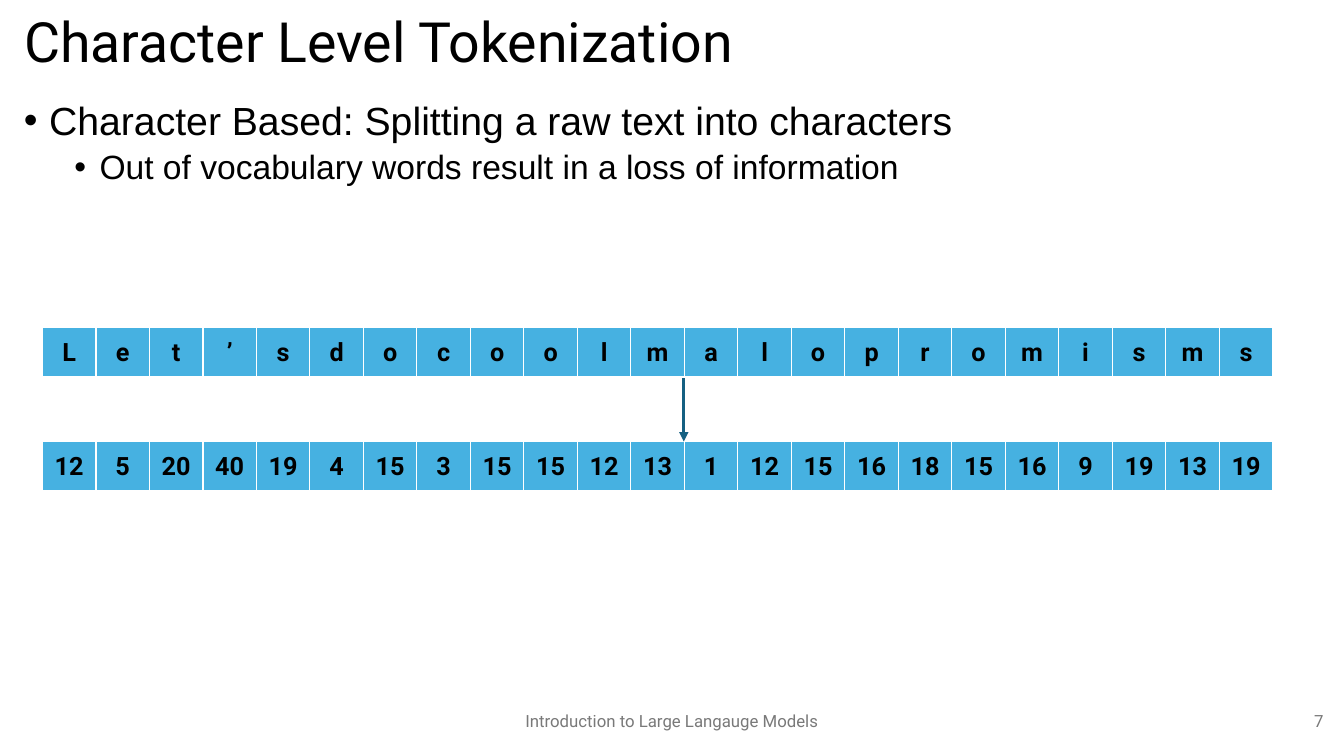
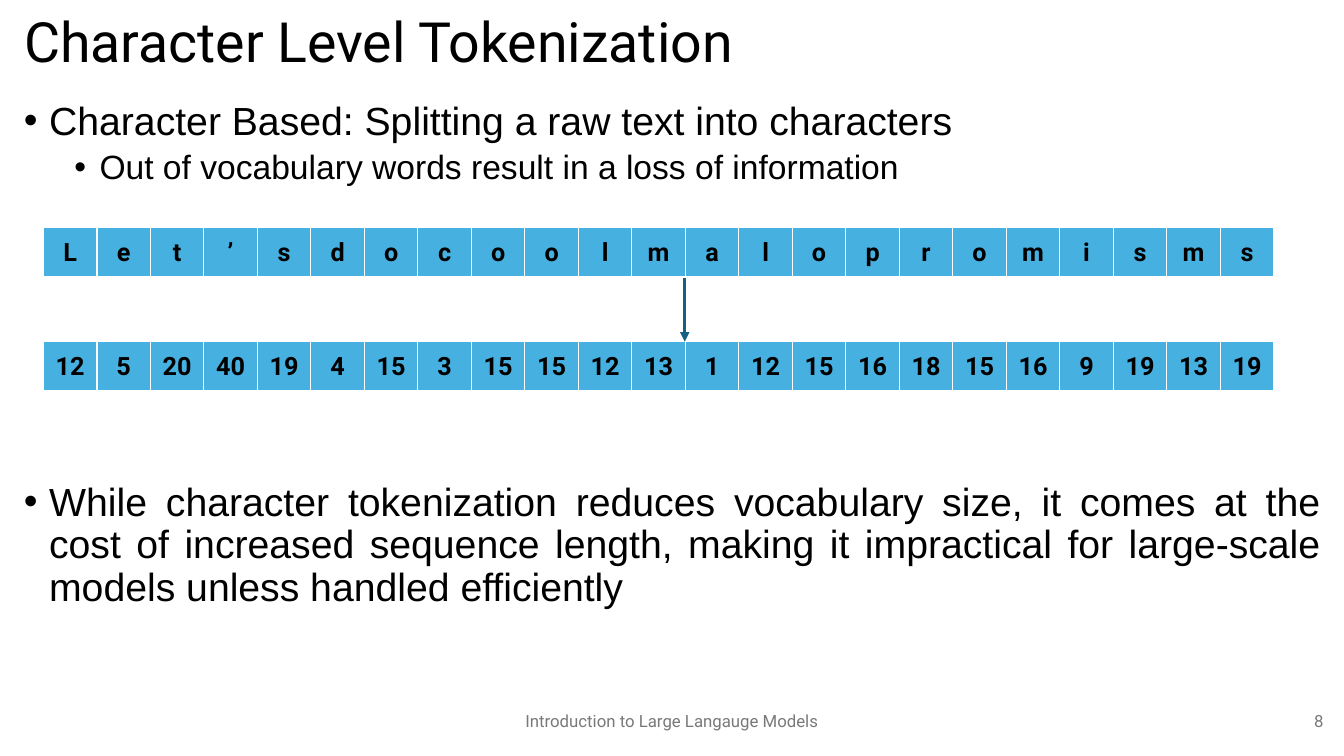
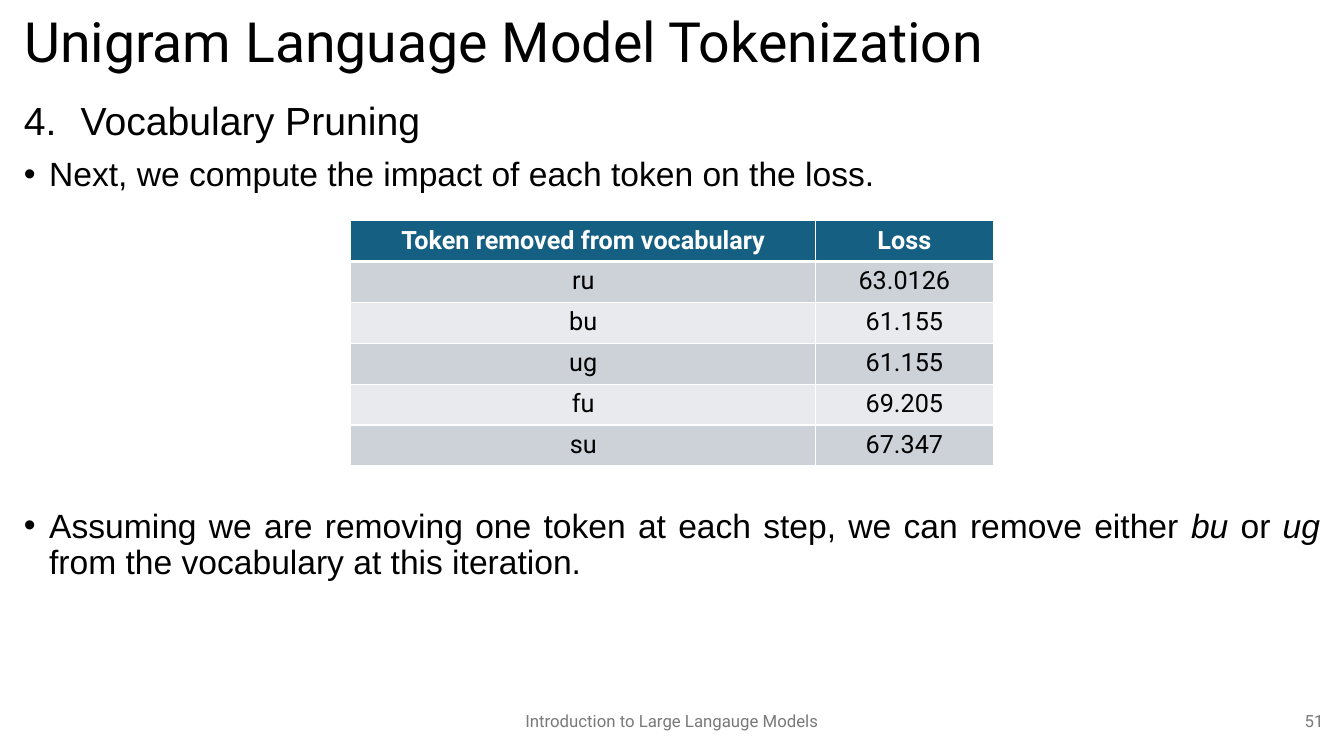
from dataclasses import dataclass

from lxml.etree import SubElement
from pptx import Presentation
from pptx.dml.color import RGBColor
from pptx.enum.shapes import MSO_CONNECTOR as Connector
from pptx.enum.text import MSO_ANCHOR as Anchor, MSO_AUTO_SIZE as AutoSize, PP_ALIGN as Align
from pptx.oxml.ns import qn
from pptx.util import Pt

BLACK = RGBColor(0x00, 0x00, 0x00)
WHITE = RGBColor(0xFF, 0xFF, 0xFF)
GRAY = RGBColor(0x79, 0x79, 0x79)
TEAL = RGBColor(0x15, 0x60, 0x82)
SKY = RGBColor(0x46, 0xB1, 0xE1)
BAND_DARK = RGBColor(0xCC, 0xD2, 0xD8)
BAND_LIGHT = RGBColor(0xE8, 0xEA, 0xED)

HEAD_FONT = "Roboto"
BODY_FONT = "Arial"
TITLE_BOX = (10, 6.5, 940, 50.4)
BODY_BOX = (10, 69, 940, 431)
FOOTER_BOX = (318, 500.4, 324, 28.8)
NUMBER_BOX = (736.5, 500.4, 216, 28.8)
FOOTER = "Introduction to Large Langauge Models"

LETTERS = list("Let’sdocoolmalopromisms")
CODES = [12, 5, 20, 40, 19, 4, 15, 3, 15, 15, 12, 13,
         1, 12, 15, 16, 18, 15, 16, 9, 19, 13, 19]
STRIP_COLUMN = 38.22
STRIP_HEIGHT = 36
STRIP_STEP = 81.4

LOSSES = [
    ("Token removed from vocabulary", "Loss"),
    ("ru", "63.0126"),
    ("bu", "61.155"),
    ("ug", "61.155"),
    ("fu", "69.205"),
    ("su", "67.347"),
]


@dataclass
class Item:
    """One list paragraph; odd-numbered pieces of its text are italic."""
    pieces: tuple
    size: float = 28
    before: float = 10
    level: int = 0
    margin: float = 18
    hang: float = 18
    number: int = 0
    align: Align = Align.LEFT


def style(para, size, color, name=HEAD_FONT, bold=False, align=Align.LEFT):
    """Set the font and alignment of a whole paragraph."""
    para.alignment = align
    font = para.font
    font.name, font.size, font.bold = name, Pt(size), bold
    font.color.rgb = color


def add_title(page, text, box):
    """Place and format the title placeholder."""
    title = page.shapes.title
    title.left, title.top, title.width, title.height = map(Pt, box)
    frame = title.text_frame
    frame.text = text
    frame.auto_size = AutoSize.NONE
    frame.vertical_anchor = Anchor.MIDDLE
    para = frame.paragraphs[0]
    para.line_spacing = 0.9
    style(para, 39.6, BLACK)


def add_footer(page, text, box, align):
    """Add one small gray text at the foot of the page."""
    frame = page.shapes.add_textbox(*map(Pt, box)).text_frame
    frame.word_wrap = True
    frame.vertical_anchor = Anchor.MIDDLE
    frame.text = text
    style(frame.paragraphs[0], 12, GRAY, align=align)


def add_marker(para, item):
    """Give a paragraph its hanging bullet or number."""
    props = para._p.get_or_add_pPr()
    props.set("marL", str(Pt(item.margin)))
    props.set("indent", str(-Pt(item.hang)))
    SubElement(props, qn("a:buFont"), typeface=BODY_FONT)
    if item.number:
        SubElement(props, qn("a:buAutoNum"), type="arabicPeriod", startAt=str(item.number))
    else:
        SubElement(props, qn("a:buChar"), char="•")


def add_body(page, items, box):
    """Add the list text of a page."""
    frame = page.shapes.add_textbox(*map(Pt, box)).text_frame
    frame.word_wrap = True
    for index, item in enumerate(items):
        para = frame.add_paragraph() if index else frame.paragraphs[0]
        add_marker(para, item)
        para.level = item.level
        para.line_spacing = 0.9
        para.space_before = Pt(item.before if index else 0)
        style(para, item.size, BLACK, BODY_FONT, align=item.align)
        for place, piece in enumerate(item.pieces):
            span = para.add_run()
            span.text = piece
            if place % 2:
                span.font.italic = True


def format_cell(cell, text, fill, color, bold, top=1, bottom=1):
    """Fill one table cell with centred text and white borders."""
    cell.text = str(text)
    style(cell.text_frame.paragraphs[0], 18, color, bold=bold, align=Align.CENTER)
    props = cell._tc.get_or_add_tcPr()
    for side, width in (("L", 1), ("R", 1), ("T", top), ("B", bottom)):
        line = SubElement(props, qn(f"a:ln{side}"), w=str(Pt(width)))
        solid = SubElement(line, qn("a:solidFill"))
        SubElement(solid, qn("a:srgbClr"), val=str(WHITE))
    cell.fill.solid()
    cell.fill.fore_color.rgb = fill


def add_strip(page, values, left, top):
    """Add a one-row table of tokens."""
    width = STRIP_COLUMN * len(values)
    table = page.shapes.add_table(
        1, len(values), Pt(left), Pt(top), Pt(width), Pt(STRIP_HEIGHT)).table
    for index, value in enumerate(values):
        table.columns[index].width = Pt(STRIP_COLUMN)
        cell = table.cell(0, index)
        cell.vertical_anchor = Anchor.MIDDLE
        format_cell(cell, value, SKY, BLACK, True, bottom=3)


def add_arrow(page, x, top, bottom):
    """Add a downward arrow."""
    arrow = page.shapes.add_connector(Connector.STRAIGHT, Pt(x), Pt(top), Pt(x), Pt(bottom))
    arrow.line.color.rgb = TEAL
    arrow.line.width = Pt(2.25)
    SubElement(arrow.line._get_or_add_ln(), qn("a:tailEnd"), type="triangle")
    SubElement(arrow._element.spPr, qn("a:effectLst"))


def add_encoding(page, left, top):
    """Add the letters, their codes and the arrow between them."""
    add_strip(page, LETTERS, left, top)
    add_strip(page, CODES, left, top + STRIP_STEP)
    middle = left + 12 * STRIP_COLUMN - 0.5
    add_arrow(page, middle, top + STRIP_HEIGHT, top + STRIP_STEP)


def add_losses(page, left, top):
    """Add the banded table of losses."""
    widths, height = (332, 126.8), 29.2
    table = page.shapes.add_table(
        len(LOSSES), len(widths), Pt(left), Pt(top),
        Pt(sum(widths)), Pt(height * len(LOSSES))).table
    for column, width in zip(table.columns, widths):
        column.width = Pt(width)
    for row, values in enumerate(LOSSES):
        table.rows[row].height = Pt(height)
        header = row == 0
        fill = TEAL if header else BAND_DARK if row % 2 else BAND_LIGHT
        for column, value in enumerate(values):
            format_cell(table.cell(row, column), value, fill,
                        WHITE if header else BLACK, header,
                        top=3 if row == 1 else 1, bottom=3 if header else 1)


def add_page(deck, title, number, items):
    """Add a page with its title, list and footers."""
    page = deck.slides.add_slide(deck.slide_layouts[5])
    add_title(page, title, TITLE_BOX)
    add_body(page, items, BODY_BOX)
    add_footer(page, FOOTER, FOOTER_BOX, Align.CENTER)
    add_footer(page, str(number), NUMBER_BOX, Align.RIGHT)
    return page


def main():
    """Build and save the deck."""
    deck = Presentation()
    deck.slide_width, deck.slide_height = Pt(960), Pt(540)

    character_title = "Character Level Tokenization"
    character_items = [
        Item(("Character Based: Splitting a raw text into characters",)),
        Item(("Out of vocabulary words result in a loss of information",),
             size=24, before=5, level=1, margin=54),
    ]
    cost = Item(("While character tokenization reduces vocabulary size, it comes at the cost "
                 "of increased sequence length, making it impractical for large-scale models "
                 "unless handled efficiently",), before=211, align=Align.JUSTIFY)
    pruning_items = [
        Item(("Vocabulary Pruning",), margin=40.5, hang=40.5, number=4, align=Align.JUSTIFY),
        Item(("Next, we compute the impact of each token on the loss.",),
             size=24, align=Align.JUSTIFY),
        Item(("Assuming we are removing one token at each step, we can remove either ",
              "bu", " or ", "ug", " from the vocabulary at this iteration."),
             size=24, before=225, align=Align.JUSTIFY),
    ]

    add_encoding(add_page(deck, character_title, 7, character_items), 30.3, 234)
    add_encoding(add_page(deck, character_title, 8, character_items + [cost]), 31, 162.6)
    add_losses(add_page(deck, "Unigram Language Model Tokenization", 51, pruning_items),
               250.6, 157.6)
    deck.save("out.pptx")


if __name__ == "__main__":
    main()
